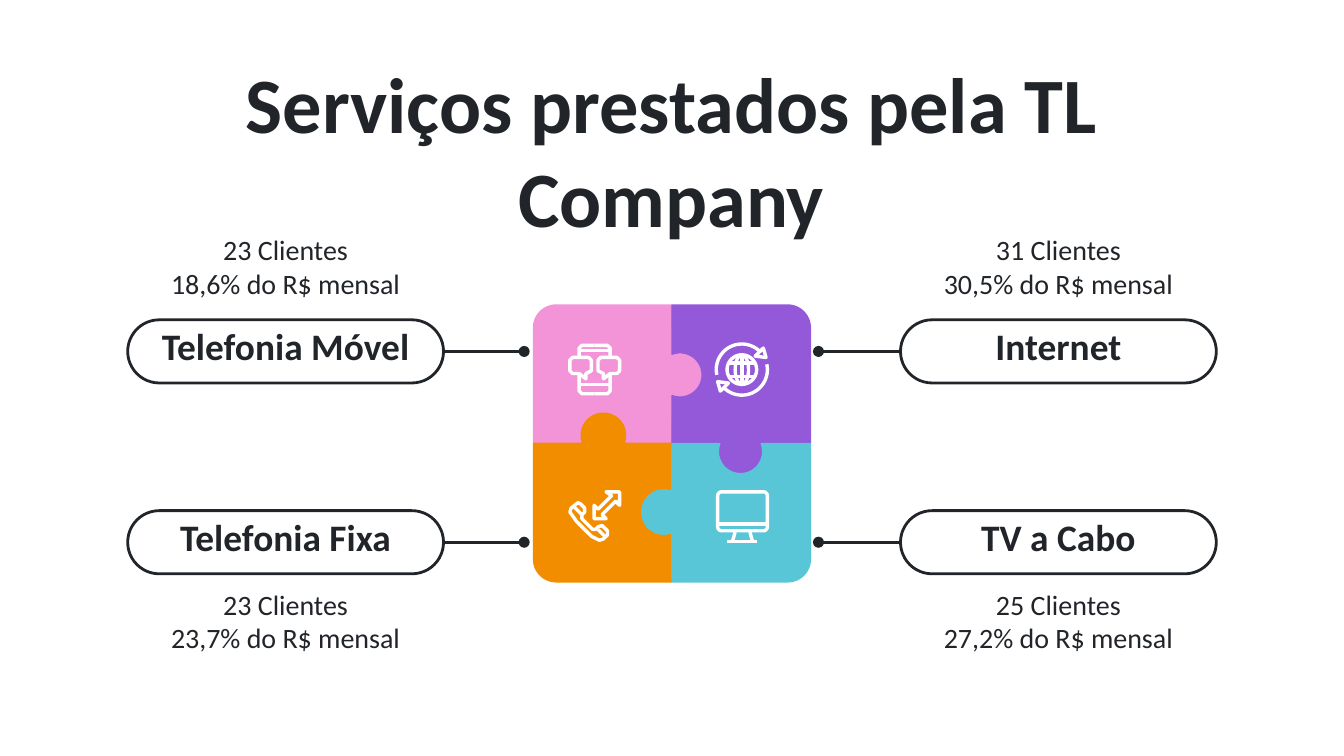
from math import cos, radians, sin

from lxml.etree import SubElement
from pptx import Presentation
from pptx.dml.color import RGBColor
from pptx.enum.shapes import MSO_CONNECTOR as Connector, MSO_SHAPE as Shape
from pptx.enum.text import MSO_ANCHOR as Anchor, PP_ALIGN as Align
from pptx.oxml.ns import qn
from pptx.util import Inches, Pt

COLORS = {
    "ink": "212529",
    "white": "FFFFFF",
    "pink": "F393D8",
    "purple": "9359D8",
    "teal": "59C6D8",
    "orange": "F28D00",
}
FONT = "Calibri"
CENTER = (5, 3.3)
PIECE = 1.03
ICON_LINE = 1.8
LABEL_WIDTH, LABEL_HEIGHT = 2.35, 0.47
# Label left, label top, name, details top, details
SERVICES = [
    (0.95, 2.38, "Telefonia Móvel", 1.68, ["23 Clientes", "18,6% do R$ mensal"]),
    (0.95, 3.8, "Telefonia Fixa", 4.32, ["23 Clientes", "23,7% do R$ mensal"]),
    (6.7, 2.38, "Internet", 1.68, ["31 Clientes", "30,5% do R$ mensal"]),
    (6.7, 3.8, "TV a Cabo", 4.32, ["25 Clientes", "27,2% do R$ mensal"]),
]


def rgb(name):
    return RGBColor.from_string(COLORS[name])


def style(shape, fill=None, line="white", width=ICON_LINE):
    shape.shadow.inherit = False
    if fill:
        shape.fill.solid()
        shape.fill.fore_color.rgb = rgb(fill)
    else:
        shape.fill.background()
    shape.line.color.rgb = rgb(line)
    shape.line.width = Pt(width)
    SubElement(shape.element.spPr.find(qn("a:ln")), qn("a:round"))
    return shape


def write(shape, lines, size, bold=False, anchor=Anchor.MIDDLE, top=0.1):
    frame = shape.text_frame
    frame.word_wrap = True
    frame.vertical_anchor = anchor
    frame.margin_left = frame.margin_right = frame.margin_bottom = Inches(0.1)
    frame.margin_top = Inches(top)
    for index, line in enumerate(lines):
        paragraph = frame.add_paragraph() if index else frame.paragraphs[0]
        paragraph.alignment = Align.CENTER
        run = paragraph.add_run()
        run.text = line
        run.font.name = FONT
        run.font.size = Pt(size)
        run.font.bold = bold
        run.font.color.rgb = rgb("ink")


def add_text(shapes, box, lines, size, **options):
    write(shapes.add_textbox(*map(Inches, box)), lines, size, **options)


def add_outline(shapes, *contours, **look):
    """One freeform; a contour that ends where it starts is closed."""
    builder = None
    for contour in contours:
        points = [(Inches(x), Inches(y)) for x, y in contour]
        if builder is None:
            builder = shapes.build_freeform(*points[0], scale=1.0)
        else:
            builder.move_to(*points[0])
        builder.add_line_segments(points[1:], close=points[0] == points[-1])
    style(builder.convert_to_shape(), **look)


def add_dotted_line(shapes, start, end):
    connector = shapes.add_connector(Connector.STRAIGHT, *map(Inches, start + end))
    connector.line.color.rgb = rgb("ink")
    connector.line.width = Pt(1.5)
    properties = connector.element.spPr
    SubElement(properties.find(qn("a:ln")), qn("a:tailEnd"), type="oval")
    SubElement(properties, qn("a:effectLst"))


def loop(points):
    return points + points[:1]


def arc(center, radius, start, end, squeeze=1, steps=40):
    """Points along a circle, clockwise from the right; squeeze scales its width."""
    angles = [radians(start + (end - start) * i / steps) for i in range(steps + 1)]
    return [(center[0] + squeeze * radius * cos(a), center[1] + radius * sin(a))
            for a in angles]


def rounded_box(left, top, right, bottom, radius=0.03):
    centers = [(left + radius, top + radius), (right - radius, top + radius),
               (right - radius, bottom - radius), (left + radius, bottom - radius)]
    points = []
    for index, center in enumerate(centers):
        start = 180 + 90 * index
        points += arc(center, radius, start, start + 90, steps=6)
    return loop(points)


def quarter_turns(points, turns):
    for _ in range(turns):
        points = [(-y, x) for x, y in points]
    return points


def add_puzzle(shapes):
    """Four copies of one piece, each a quarter turn further round the centre."""
    knob = arc((0.06, -0.51), 0.165, -111, 111)
    notch = quarter_turns(knob, 3)[::-1]
    corner = arc((0.17 - PIECE, 0.17 - PIECE), 0.17, 180, 270)
    piece = loop(corner + [(0, -PIECE)] + knob + [(0, 0)] + notch + [(-PIECE, 0)])
    for turns, color in ((0, "pink"), (3, "orange"), (1, "purple"), (2, "teal")):
        points = [(CENTER[0] + x, CENTER[1] + y) for x, y in quarter_turns(piece, turns)]
        add_outline(shapes, points, fill=color, line=color, width=0.75)


def add_mobile_icon(shapes):
    def mirror(points):
        return [(2 * 4.425 - x, y) for x, y in points]

    bubble = loop([(4.26, 2.66), (4.38, 2.66), (4.4, 2.68), (4.4, 2.76), (4.36, 2.78),
                   (4.36, 2.82), (4.31, 2.78), (4.26, 2.78), (4.24, 2.76), (4.24, 2.68)])
    top = [(4.31, 2.66), (4.31, 2.59), (4.33, 2.57), (4.425, 2.57)]
    bottom = [(4.31, 2.78), (4.31, 2.91), (4.33, 2.93), (4.425, 2.93)]
    half = [bubble, top, bottom]
    bars = [[(4.31, y), (4.54, y)] for y in (2.61, 2.86)]
    add_outline(shapes, *half, *map(mirror, half), *bars)


def add_telephone_icon(shapes):
    group = shapes.add_group_shape().shapes
    handset = loop([
        (4.3, 3.74), (4.32, 3.75), (4.35, 3.78), (4.35, 3.81), (4.33, 3.83), (4.33, 3.86),
        (4.41, 3.94), (4.43, 3.94), (4.45, 3.92), (4.48, 3.91), (4.52, 3.95), (4.52, 3.98),
        (4.49, 4.01), (4.46, 4.02), (4.4, 3.99), (4.29, 3.88), (4.24, 3.81), (4.25, 3.78)])
    add_outline(group, handset, [(4.27, 3.77), (4.33, 3.83)], [(4.45, 3.94), (4.5, 3.99)])
    add_outline(group, loop([
        (4.51, 3.66), (4.61, 3.66), (4.61, 3.76), (4.58, 3.73), (4.48, 3.83),
        (4.51, 3.86), (4.42, 3.86), (4.42, 3.76), (4.45, 3.79), (4.55, 3.69)]))


def add_television_icon(shapes):
    add_outline(
        shapes, rounded_box(5.34, 3.66, 5.71, 3.95), [(5.34, 3.9), (5.71, 3.9)],
        [(5.47, 3.96), (5.45, 4.03)], [(5.58, 3.96), (5.6, 4.03)],
        [(5.41, 4.03), (5.63, 4.03)])


def add_internet_icon(shapes):
    group = shapes.add_group_shape().shapes
    x, y = center = (5.52, 2.75)
    arrow = [arc(center, 0.19, 168, 313),
             loop([(5.62, 2.65), (5.7, 2.66), (5.68, 2.59)])]
    add_outline(group, *arrow)
    add_outline(group, *[[(2 * x - px, 2 * y - py) for px, py in part] for part in arrow])
    meridians = [arc(center, 0.11, 0, 360, squeeze) for squeeze in (1, 0.45)]
    parallels = [[(x - 0.1, y + dy), (x + 0.1, y + dy)] for dy in (-0.05, 0.05)]
    add_outline(group, *meridians, *parallels, [(x, y - 0.11), (x, y + 0.11)])


def add_service(shapes, left, top, name, details_top, details):
    add_text(shapes, (left, details_top, LABEL_WIDTH, 0.6), details, 15)
    box = (left, top, LABEL_WIDTH, LABEL_HEIGHT)
    label = shapes.add_shape(Shape.ROUNDED_RECTANGLE, *map(Inches, box))
    label.adjustments[0] = 0.5
    style(label, line="ink", width=1.5)
    write(label, [name], 20, bold=True, top=0.02)
    middle = top + LABEL_HEIGHT / 2
    on_left = left < CENTER[0]
    start, end = (left + LABEL_WIDTH, 3.9) if on_left else (left, 6.09)
    add_dotted_line(shapes, (start, middle), (end, middle))


def main():
    presentation = Presentation()
    presentation.slide_width = Inches(10)
    presentation.slide_height = Inches(10) * 9 // 16
    slide = presentation.slides.add_slide(presentation.slide_layouts[6])
    shapes = slide.shapes
    add_text(shapes, (0.6, 0.31, 8.79, 0.78), ["Serviços prestados pela TL Company"], 42,
             bold=True, anchor=Anchor.TOP)
    add_puzzle(shapes.add_group_shape().shapes)
    for service in SERVICES:
        add_service(shapes, *service)
    for add_icon in (add_mobile_icon, add_telephone_icon,
                     add_television_icon, add_internet_icon):
        add_icon(shapes)
    presentation.save("out.pptx")


if __name__ == "__main__":
    main()
